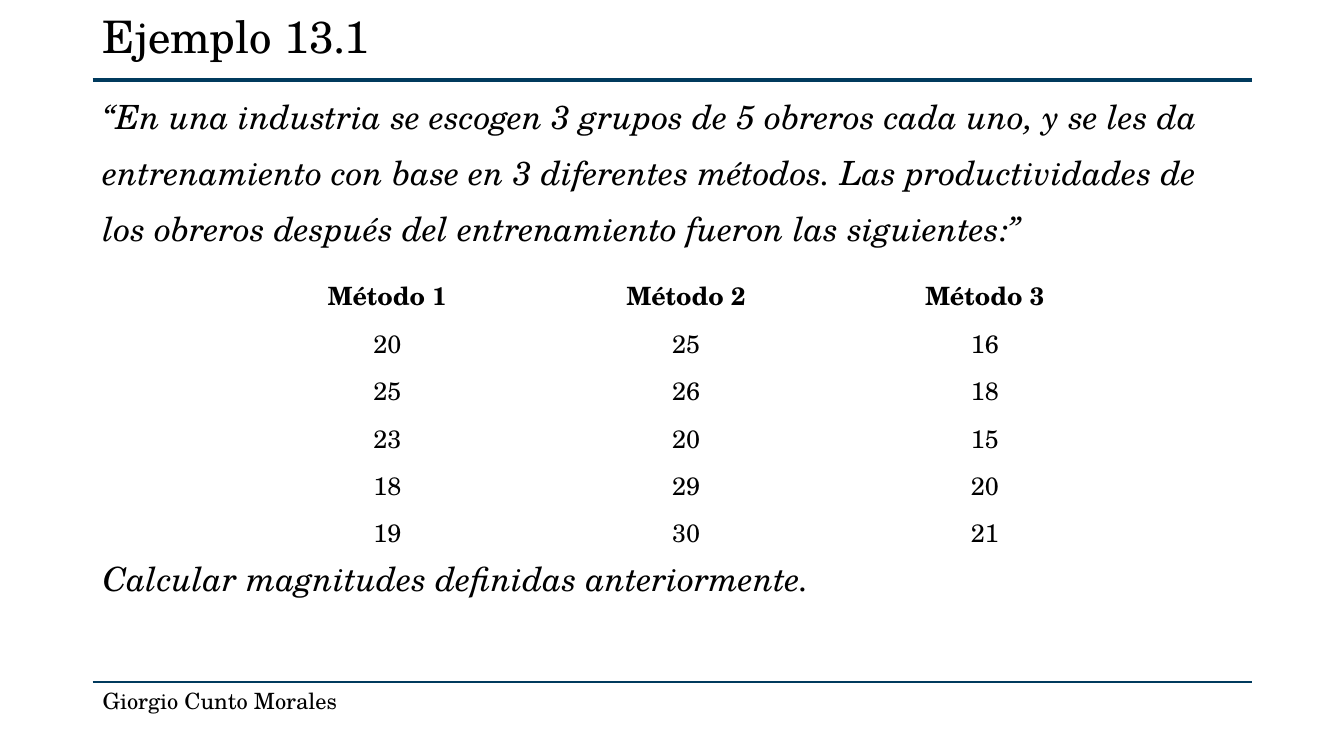
from dataclasses import dataclass
from lxml.etree import SubElement
from pptx import Presentation
from pptx.dml.color import RGBColor
from pptx.enum.shapes import MSO_CONNECTOR as Link
from pptx.enum.text import MSO_ANCHOR as Anchor, MSO_AUTO_SIZE as Fit, PP_ALIGN as Align
from pptx.oxml.ns import qn
from pptx.util import Inches, Pt

FONT = "TeX Gyre Schola"
BLACK, WHITE, NAVY = "000000", "FFFFFF", "003A5D"
LEFT, WIDTH = 0.92, 11.5


@dataclass
class Rule:
    y: float
    weight: float


@dataclass
class Method:
    name: str
    scores: list[int]


RULES = [Rule(0.79, 3), Rule(6.77, 1.5)]
METHODS = [
    Method("Método 1", [20, 25, 23, 18, 19]),
    Method("Método 2", [25, 26, 20, 29, 30]),
    Method("Método 3", [16, 18, 15, 20, 21]),
]
PROBLEM = (
    "“En una industria se escogen 3 grupos de 5 obreros cada uno, y se les da "
    "entrenamiento con base en 3 diferentes métodos. Las productividades de los "
    "obreros después del entrenamiento fueron las siguientes:”"
)
TASK = "Calcular magnitudes definidas anteriormente."


def color(code: str) -> RGBColor:
    return RGBColor.from_string(code)


def write(para, text: str, *, size: float, bold=False, italic=False,
          align=Align.LEFT, lines=1.0, before=0) -> None:
    para.alignment = align
    para.line_spacing = lines
    para.space_before = Pt(before)
    run = para.add_run()
    run.text = text
    font = run.font
    font.name, font.size = FONT, Pt(size)
    font.bold, font.italic = bold, italic
    font.color.rgb = color(BLACK)


def place(shape, top: float, height: float, anchor=Anchor.TOP):
    shape.left, shape.top = Inches(LEFT), Inches(top)
    shape.width, shape.height = Inches(WIDTH), Inches(height)
    frame = shape.text_frame
    frame.word_wrap = True
    frame.auto_size = Fit.NONE
    frame.vertical_anchor = anchor
    return frame


def plain(para) -> None:
    props = para._p.get_or_add_pPr()
    props.set("marL", "0")
    props.set("indent", "0")
    SubElement(props, qn("a:buNone"))


def draw_rule(slide, rule: Rule) -> None:
    line = slide.shapes.add_connector(
        Link.STRAIGHT, Inches(LEFT), Inches(rule.y),
        Inches(LEFT + WIDTH), Inches(rule.y))
    line.line.color.rgb = color(NAVY)
    line.line.width = Pt(rule.weight)
    SubElement(line._element.spPr, qn("a:effectLst"))


def draw_table(slide, methods: list[Method]) -> None:
    count = len(methods[0].scores) + 1
    table = slide.shapes.add_table(
        count, len(methods), Inches(2.36), Inches(2.69),
        Inches(8.89), Inches(2.43)).table
    for col, method in enumerate(methods):
        for row, value in enumerate([method.name, *method.scores]):
            cell = table.cell(row, col)
            cell.fill.solid()
            cell.fill.fore_color.rgb = color(WHITE)
            write(cell.text_frame.paragraphs[0], str(value), size=18,
                  bold=row == 0, align=Align.CENTER)


def main() -> None:
    deck = Presentation()
    deck.slide_width, deck.slide_height = Inches(13.33), Inches(7.5)
    slide = deck.slides.add_slide(deck.slide_layouts[1])

    # Title
    title = place(slide.shapes.title, 0.02, 0.73, Anchor.MIDDLE)
    write(title.paragraphs[0], "Ejemplo 13.1", size=32, lines=0.9)

    # Problem above the table, task below it
    body = place(slide.placeholders[1], 0.75, 6)
    for para, text, gap in [(body.paragraphs[0], PROBLEM, 0),
                            (body.add_paragraph(), TASK, 210)]:
        plain(para)
        write(para, text, size=23.8, italic=True, lines=1.4, before=gap)

    # Table of scores
    draw_table(slide, METHODS)

    # Rules and author
    for rule in RULES:
        draw_rule(slide, rule)
    box = slide.shapes.add_textbox(0, 0, 0, 0)
    author = place(box, 6.77, 0.37)
    write(author.paragraphs[0], "Giorgio Cunto Morales", size=16)

    deck.save("out.pptx")


if __name__ == "__main__":
    main()
